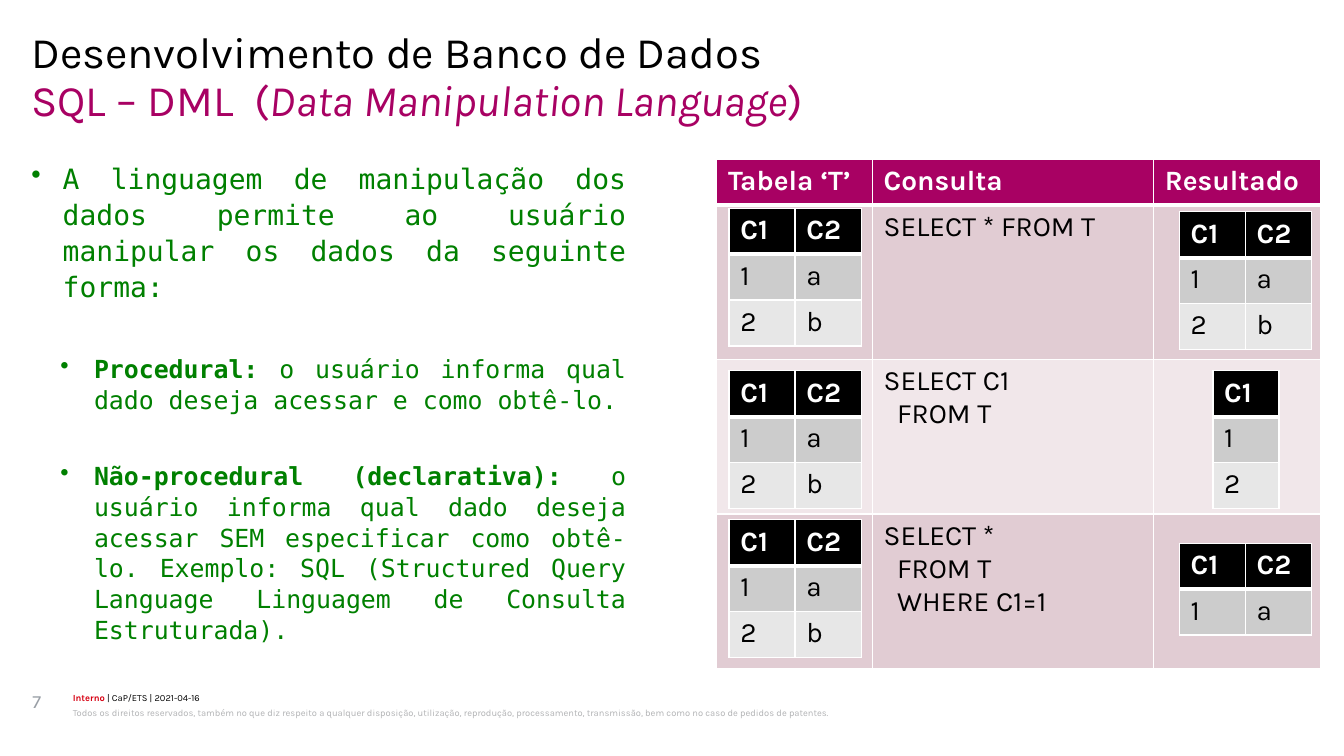
from pptx import Presentation
from pptx.dml.color import RGBColor
from pptx.enum.text import PP_ALIGN
from pptx.oxml.xmlchemy import OxmlElement
from pptx.util import Inches, Pt

BLACK = RGBColor(0, 0, 0)
WHITE = RGBColor(0xFF, 0xFF, 0xFF)
MAGENTA = RGBColor(0xA8, 0x01, 0x63)
GREEN = RGBColor(0, 0x80, 0)
RED = RGBColor(0xD7, 0x00, 0x12)
GRAY = RGBColor(0x99, 0x9F, 0xA6)
PALE_GRAY = RGBColor(0xB2, 0xB3, 0xB5)
PINK = RGBColor(0xE1, 0xCC, 0xD3)
PALE_PINK = RGBColor(0xF1, 0xE7, 0xEA)
SILVER = RGBColor(0xCC, 0xCC, 0xCC)
PALE_SILVER = RGBColor(0xE7, 0xE7, 0xE7)


class SlideBuilder:
    sans = "Karla"
    mono = "DejaVu Sans Mono"
    table_size = 18
    code_indent = Inches(0.12)

    def __init__(self, page):
        self.page = page

    def style(self, span, size, color, bold=False, italic=False, font=None):
        span.font.name = font or self.sans
        span.font.size = Pt(size)
        span.font.color.rgb = color
        span.font.bold = bold
        span.font.italic = italic

    def frame(self, left, top, width, height):
        box = self.page.shapes.add_textbox(
            Inches(left), Inches(top), Inches(width), Inches(height))
        text_frame = box.text_frame
        text_frame.word_wrap = True
        text_frame.margin_left = text_frame.margin_right = 0
        text_frame.margin_top = text_frame.margin_bottom = 0
        return text_frame

    def spans(self, para, parts, size, font=None):
        for text, color, bold, italic in parts:
            span = para.add_run()
            span.text = text
            self.style(span, size, color, bold, italic, font)

    def line(self, left, top, width, height, parts, size, spacing=1.0):
        para = self.frame(left, top, width, height).paragraphs[0]
        para.line_spacing = spacing
        self.spans(para, parts, size)

    def bullets(self, left, top, width, height, items):
        text_frame = self.frame(left, top, width, height)
        for index, (level, size, spacing, before, parts) in enumerate(items):
            para = text_frame.add_paragraph() if index else text_frame.paragraphs[0]
            para.level = level
            para.alignment = PP_ALIGN.JUSTIFY
            para.line_spacing = spacing
            para.space_before = Pt(before)
            properties = para._p.get_or_add_pPr()
            properties.set("marL", str(Inches(0.28 * (level + 1))))
            properties.set("indent", str(-Inches(0.3 if level else 0.28)))
            bullet = OxmlElement("a:buChar")
            bullet.set("char", "•")
            properties.append(bullet)
            self.spans(para, parts, size, self.mono)

    def border(self, cell, side, width):
        edge = OxmlElement(f"a:ln{side}")
        edge.set("w", str(Pt(width)))
        fill = OxmlElement("a:solidFill")
        color = OxmlElement("a:srgbClr")
        color.set("val", str(WHITE))
        fill.append(color)
        edge.append(fill)
        cell._tc.get_or_add_tcPr().append(edge)

    def table(self, left, top, columns, heights, rows, fills):
        table = self.page.shapes.add_table(
            len(rows), len(columns), Inches(left), Inches(top),
            Inches(sum(columns)), Inches(sum(heights))).table
        for column, width in zip(table.columns, columns):
            column.width = Inches(width)
        for row, height in zip(table.rows, heights):
            row.height = Inches(height)
        for row_index, texts in enumerate(rows):
            header = row_index == 0
            for column_index, text in enumerate(texts):
                cell = table.cell(row_index, column_index)
                for side in "LRTB":
                    thick = (row_index, side) in ((0, "B"), (1, "T"))
                    self.border(cell, side, 3 if thick else 1)
                cell.fill.solid()
                cell.fill.fore_color.rgb = fills[row_index]
                cell.text_frame.text = text
                for line_index, para in enumerate(cell.text_frame.paragraphs):
                    if line_index:
                        para._p.get_or_add_pPr().set("marL", str(self.code_indent))
                    for span in para.runs:
                        self.style(span, self.table_size,
                                   WHITE if header else BLACK, bold=header)

    def sample(self, left, top, rows):
        self.table(left, top, [0.59] * len(rows[0]), [0.41] * len(rows), rows,
                   [BLACK, SILVER, PALE_SILVER])


def main():
    deck = Presentation()
    deck.slide_width, deck.slide_height = Inches(12), Inches(6.75)
    builder = SlideBuilder(deck.slides.add_slide(deck.slide_layouts[6]))

    builder.line(0.65, 6.17, 10.01, 0.12, [
        ("Interno", RED, True, False),
        (" | CaP/ETS | 2021-04-16", BLACK, False, False)], 6, 1.07)
    builder.line(0.65, 6.29, 10.01, 0.24, [
        ("Todos os direitos reservados, também no que diz respeito a qualquer "
         "disposição, utilização, reprodução, processamento, transmissão, bem "
         "como no caso de pedidos de patentes.", PALE_GRAY, False, False)], 6, 1.2)
    builder.line(0.28, 0.28, 11.43, 0.43, [
        ("Desenvolvimento de Banco de Dados", BLACK, False, False)], 28, 0.89)
    builder.line(0.28, 0.71, 11.43, 0.43, [
        ("SQL – DML  (", MAGENTA, False, False),
        ("Data Manipulation Language", MAGENTA, False, True),
        (")", MAGENTA, False, False)], 28, 0.89)
    builder.line(0.29, 6.16, 0.32, 0.45, [("7", GRAY, False, False)], 12)

    builder.bullets(0.28, 1.42, 5.31, 4.56, [
        (0, 18, 1.07, 5, [
            ("A linguagem de manipulação dos dados permite ao usuário "
             "manipular os dados da seguinte forma:", GREEN, False, False)]),
        (1, 16, 1.03, 32.4, [
            ("Procedural:", GREEN, True, False),
            (" o usuário informa qual dado deseja acessar e como obtê-lo.",
             GREEN, False, False)]),
        (1, 16, 1.03, 29.2, [
            ("Não-procedural (declarativa): ", GREEN, True, False),
            ("o usuário informa qual dado deseja acessar SEM especificar como "
             "obtê-lo. Exemplo: SQL (Structured Query Language Linguagem de "
             "Consulta Estruturada).", GREEN, False, False)]),
    ])

    builder.table(6.4, 1.42, [1.39, 2.51, 1.49], [0.41, 1.38, 1.38, 1.38], [
        ["Tabela ‘T’", "Consulta", "Resultado"],
        ["", "SELECT * FROM T", ""],
        ["", "SELECT C1\nFROM T", ""],
        ["", "SELECT *\nFROM T\nWHERE C1=1", ""],
    ], [MAGENTA, PINK, PALE_PINK, PINK])

    full = [["C1", "C2"], ["1", "a"], ["2", "b"]]
    for top in (1.86, 3.31, 4.64):
        builder.sample(6.51, top, full)
    builder.sample(10.53, 1.89, full)
    builder.sample(10.83, 3.31, [row[:1] for row in full])
    builder.sample(10.53, 4.85, full[:2])

    deck.save("out.pptx")


if __name__ == "__main__":
    main()
